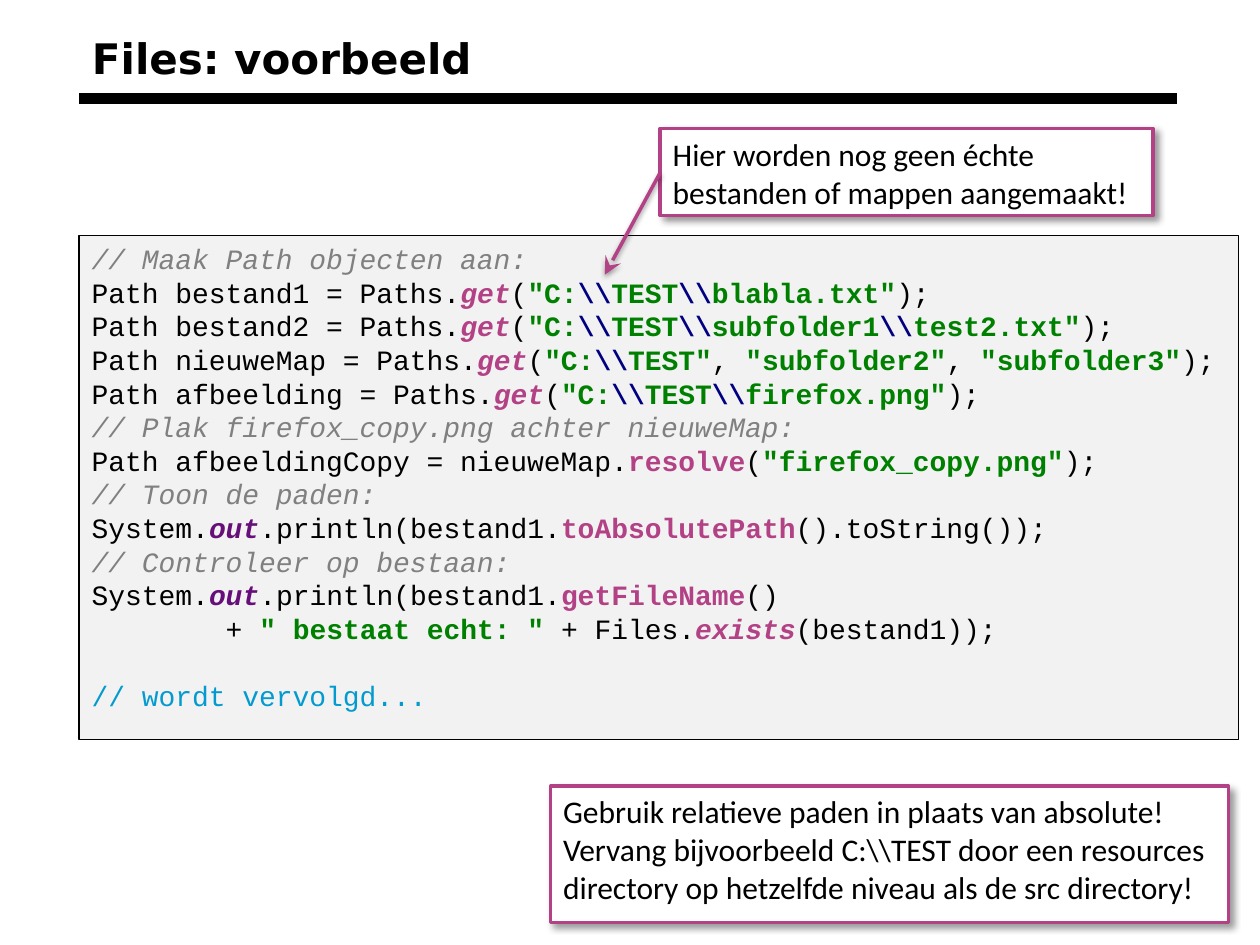
from lxml import etree
from pptx import Presentation
from pptx.dml.color import RGBColor
from pptx.enum.shapes import MSO_CONNECTOR, MSO_SHAPE
from pptx.enum.text import MSO_ANCHOR, PP_ALIGN
from pptx.oxml.ns import qn
from pptx.util import Inches, Pt

RECTANGLE = MSO_SHAPE.RECTANGLE
STRAIGHT = MSO_CONNECTOR.STRAIGHT
LEFT = PP_ALIGN.LEFT
TOP, MIDDLE = MSO_ANCHOR.TOP, MSO_ANCHOR.MIDDLE

TITLE = "Files: voorbeeld"
ACCENT = "B34185"
ESCAPE = r"\\"
CODE_PITCH = Pt(19.2)

STYLES = {
    "plain": ("000000", False, False),
    "comment": ("808080", False, True),
    "static": (ACCENT, True, True),
    "method": (ACCENT, True, False),
    "field": ("660E7A", True, True),
    "string": ("008000", True, False),
    "escape": ("000080", True, False),
    "todo": ("039BCF", False, False),
}


def get_path(variable, *names):
    """Return the tokens of a Paths.get assignment."""
    tokens = [(f"Path {variable} = Paths.", "plain"), ("get", "static"), ("(", "plain")]
    for index, name in enumerate(names):
        if index:
            tokens.append((", ", "plain"))
        tokens.append((f'"{name}"', "string"))
    return tokens + [(");", "plain")]


def print_bestand(method, ending):
    """Return the tokens of a println call on bestand1."""
    return [("System.", "plain"), ("out", "field"), (".println(bestand1.", "plain"),
            (method, "method"), (ending, "plain")]


CODE = [
    [("// Maak Path objecten aan:", "comment")],
    get_path("bestand1", r"C:\\TEST\\blabla.txt"),
    get_path("bestand2", r"C:\\TEST\\subfolder1\\test2.txt"),
    get_path("nieuweMap", r"C:\\TEST", "subfolder2", "subfolder3"),
    get_path("afbeelding", r"C:\\TEST\\firefox.png"),
    [("// Plak firefox_copy.png achter nieuweMap:", "comment")],
    [("Path afbeeldingCopy = nieuweMap.", "plain"), ("resolve", "method"), ("(", "plain"),
     ('"firefox_copy.png"', "string"), (");", "plain")],
    [("// Toon de paden:", "comment")],
    print_bestand("toAbsolutePath", "().toString());"),
    [("// Controleer op bestaan:", "comment")],
    print_bestand("getFileName", "()"),
    [("        + ", "plain"), ('" bestaat echt: " ', "string"), ("+ Files.", "plain"),
     ("exists", "static"), ("(bestand1));", "plain")],
    [("// wordt vervolgd...", "todo")],
]

CALLOUTS = [
    ("Hier worden nog geen échte bestanden of mappen aangemaakt!", (5.24, 1.02, 3.91, 0.69)),
    (r"Gebruik relatieve paden in plaats van absolute! Vervang bijvoorbeeld C:\\TEST "
     "door een resources directory op hetzelfde niveau als de src directory!",
     (4.37, 6.24, 5.38, 1.08)),
]


def rgb(value):
    """Turn a hex string into a colour."""
    return RGBColor.from_string(value)


def format_font(font, name, size, color, bold=False, italic=False):
    """Set the face, size, colour and style of a font."""
    font.name, font.size = name, Pt(size)
    font.bold, font.italic = bold, italic
    font.color.rgb = rgb(color)


def add_shadow(effects, opacity, blur, distance, angle):
    """Add a black outer shadow to an effect list."""
    shadow = etree.SubElement(effects, qn("a:outerShdw"), blurRad=str(Pt(blur)),
                              dist=str(Pt(distance)), dir=str(angle * 60000), rotWithShape="0")
    color = etree.SubElement(shadow, qn("a:srgbClr"), val="000000")
    etree.SubElement(color, qn("a:alpha"), val=str(opacity * 1000))


def add_panel(slide, box, fill, line, width):
    """Add a bordered rectangle with top-left wrapped text."""
    panel = slide.shapes.add_shape(RECTANGLE, *map(Inches, box))
    panel.shadow.inherit = False
    panel.fill.solid()
    panel.fill.fore_color.rgb = rgb(fill)
    panel.line.color.rgb = rgb(line)
    panel.line.width = Pt(width)
    panel.text_frame.word_wrap = True
    panel.text_frame.vertical_anchor = TOP
    return panel


def add_line(slide, start, end, color, width):
    """Add a straight line and return it with its empty effect list."""
    line = slide.shapes.add_connector(STRAIGHT, *map(Inches, start + end))
    line.line.color.rgb = rgb(color)
    line.line.width = Pt(width)
    effects = etree.SubElement(line.element.spPr, qn("a:effectLst"))
    return line, effects


def add_code(slide):
    """Add the code panel with its coloured tokens."""
    frame = add_panel(slide, (0.63, 1.87, 9.2, 4), "F2F2F2", "000000", 1).text_frame
    for index, tokens in enumerate(CODE):
        paragraph = frame.add_paragraph() if index else frame.paragraphs[0]
        paragraph.alignment = LEFT
        paragraph.line_spacing = CODE_PITCH
        for text, style in tokens:
            for part_index, part in enumerate(text.split(ESCAPE)):
                pieces = [(ESCAPE, "escape")] if part_index else []
                for piece, piece_style in pieces + [(part, style)]:
                    run = paragraph.add_run()
                    run.text = piece
                    format_font(run.font, "Courier New", 16, *STYLES[piece_style])
    frame.paragraphs[-1].space_before = CODE_PITCH


def add_callout(slide, text, box):
    """Add a shadowed remark."""
    callout = add_panel(slide, box, "FFFFFF", ACCENT, 2)
    add_shadow(callout.element.spPr.find(qn("a:effectLst")), 40, 4, 3, 45)
    paragraph = callout.text_frame.paragraphs[0]
    paragraph.text = text
    paragraph.alignment = LEFT
    format_font(paragraph.runs[0].font, "Calibri", 18, "000000")


def add_title(slide):
    """Place and format the title."""
    title = slide.shapes.title
    title.left, title.top, title.width, title.height = map(Inches, (0.63, 0.14, 8.71, 0.64))
    title.text_frame.text = TITLE
    title.text_frame.vertical_anchor = MIDDLE
    paragraph = title.text_frame.paragraphs[0]
    paragraph.alignment = LEFT
    format_font(paragraph.runs[0].font, "DejaVu Sans", 24, "000000", bold=True)


def main():
    """Build and save the slide."""
    deck = Presentation()
    deck.slide_width, deck.slide_height = Inches(10), Inches(7.5)
    slide = deck.slides.add_slide(deck.slide_layouts[5])
    add_title(slide)
    add_line(slide, (0.63, 0.78), (9.34, 0.78), "000000", 6)
    add_code(slide)
    for text, box in CALLOUTS:
        add_callout(slide, text, box)
    arrow, effects = add_line(slide, (5.24, 1.37), (4.8, 2.18), ACCENT, 2)
    etree.SubElement(arrow.line._get_or_add_ln(), qn("a:tailEnd"), type="stealth", w="lg", len="lg")
    add_shadow(effects, 38, 3.1, 1.6, 90)
    deck.save("out.pptx")


if __name__ == "__main__":
    main()
